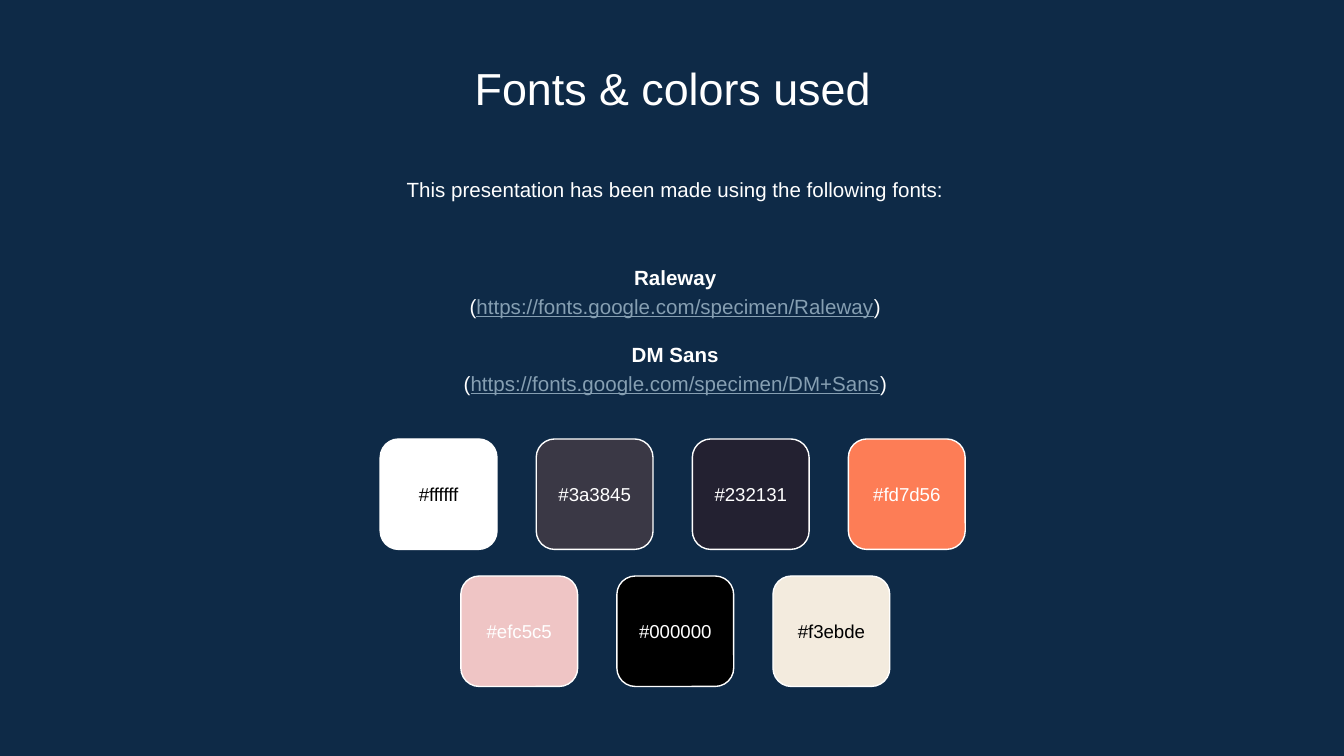
from pptx import Presentation
from pptx import util as u
from pptx.dml.color import RGBColor
from pptx.enum import shapes, text
from pptx.oxml.ns import qn

TITLE = "Fonts & colors used"
INTRO = "This presentation has been made using the following fonts:"
FONTS = [
    ("Raleway", "https://fonts.google.com/specimen/Raleway"),
    ("DM Sans", "https://fonts.google.com/specimen/DM+Sans"),
]
SWATCH_ROWS = [
    {"center": 360.4, "top": 235.2, "colors": ["ffffff", "3a3845", "232131", "fd7d56"]},
    {"center": 361.8, "top": 308.6, "colors": ["efc5c5", "000000", "f3ebde"]},
]
DARK_LABELS = {"ffffff", "f3ebde"}

THEME = {
    "font": "Arial",
    "background": "0E2A47",
    "light": "FFFFFF",
    "dark": "000000",
    "link": "869FB2",
    "title_size": 24,
    "body_size": 11,
    "label_size": 10,
    "line_spacing": 1.15,
}
SLIDE_SIZE = (720, 405)
TITLE_BOX = (82.8, 25.2, 555.1, 38.2)
INTRO_BOX = (84.2, 85.7, 555.1, 34.6)
FONTS_BOX = (84.2, 126.7, 555.1, 98.6)
FONT_GAP = 11
SWATCH_WIDTH, SWATCH_HEIGHT, SWATCH_STEP = 62.6, 59.2, 83.6


def color(name):
    return RGBColor.from_string(THEME.get(name, name).upper())


def place(shape, box):
    shape.left, shape.top, shape.width, shape.height = map(u.Pt, box)


def format_frame(shape, anchor):
    frame = shape.text_frame
    frame.word_wrap = True
    frame.auto_size = text.MSO_AUTO_SIZE.NONE
    frame.vertical_anchor = anchor
    frame.margin_left = frame.margin_right = u.Pt(7.2)
    frame.margin_top = frame.margin_bottom = u.Pt(7.2)
    return frame


def format_paragraph(paragraph, spacing=1.0, before=0):
    paragraph.alignment = text.PP_ALIGN.CENTER
    paragraph.line_spacing = spacing
    paragraph.space_before = u.Pt(before)
    paragraph.space_after = u.Pt(0)


def add_run(paragraph, words, size, fill="light", bold=False, underline=False):
    run = paragraph.add_run()
    run.text = words
    run.font.name = THEME["font"]
    run.font.size = u.Pt(THEME[size])
    run.font.bold = bold
    run.font.underline = underline
    run.font.color.rgb = color(fill)


def add_title(slide):
    title = slide.shapes.title
    place(title, TITLE_BOX)
    paragraph = format_frame(title, text.MSO_ANCHOR.TOP).paragraphs[0]
    format_paragraph(paragraph)
    add_run(paragraph, TITLE, "title_size")


def add_intro(slide):
    intro = slide.shapes.add_textbox(*map(u.Pt, INTRO_BOX))
    paragraph = format_frame(intro, text.MSO_ANCHOR.TOP).paragraphs[0]
    format_paragraph(paragraph, THEME["line_spacing"])
    add_run(paragraph, INTRO, "body_size")


def add_font_list(slide):
    body = slide.placeholders[1]
    place(body, FONTS_BOX)
    frame = format_frame(body, text.MSO_ANCHOR.MIDDLE)
    for index, (name, address) in enumerate(FONTS):
        heading = frame.add_paragraph() if index else frame.paragraphs[0]
        detail = frame.add_paragraph()
        for paragraph in (heading, detail):
            format_paragraph(paragraph, THEME["line_spacing"])
            properties = paragraph._p.get_or_add_pPr()
            properties.set("marL", "0")
            properties.set("indent", "0")
            properties.append(properties.makeelement(qn("a:buNone"), {}))
        if index:
            heading.space_before = u.Pt(FONT_GAP)
        add_run(heading, name, "body_size", bold=True)
        add_run(detail, "(", "body_size")
        add_run(detail, address, "body_size", fill="link", underline=True)
        add_run(detail, ")", "body_size")


def add_swatch(slide, code, left, top):
    swatch = slide.shapes.add_shape(
        shapes.MSO_SHAPE.ROUNDED_RECTANGLE,
        *map(u.Pt, (left, top, SWATCH_WIDTH, SWATCH_HEIGHT)),
    )
    swatch.shadow.inherit = False
    swatch.fill.solid()
    swatch.fill.fore_color.rgb = color(code)
    swatch.line.color.rgb = color("light")
    swatch.line.width = u.Pt(0.75)
    paragraph = format_frame(swatch, text.MSO_ANCHOR.MIDDLE).paragraphs[0]
    format_paragraph(paragraph)
    label_color = "dark" if code in DARK_LABELS else "light"
    add_run(paragraph, "#" + code, "label_size", fill=label_color)


def add_swatches(slide):
    for row in SWATCH_ROWS:
        row_width = SWATCH_STEP * (len(row["colors"]) - 1) + SWATCH_WIDTH
        first_left = row["center"] - row_width / 2
        for column, code in enumerate(row["colors"]):
            add_swatch(slide, code, first_left + column * SWATCH_STEP, row["top"])


def main():
    presentation = Presentation()
    presentation.slide_width, presentation.slide_height = map(u.Pt, SLIDE_SIZE)
    slide = presentation.slides.add_slide(presentation.slide_layouts[1])
    slide.background.fill.solid()
    slide.background.fill.fore_color.rgb = color("background")
    add_title(slide)
    add_intro(slide)
    add_font_list(slide)
    add_swatches(slide)
    presentation.save("out.pptx")


if __name__ == "__main__":
    main()
